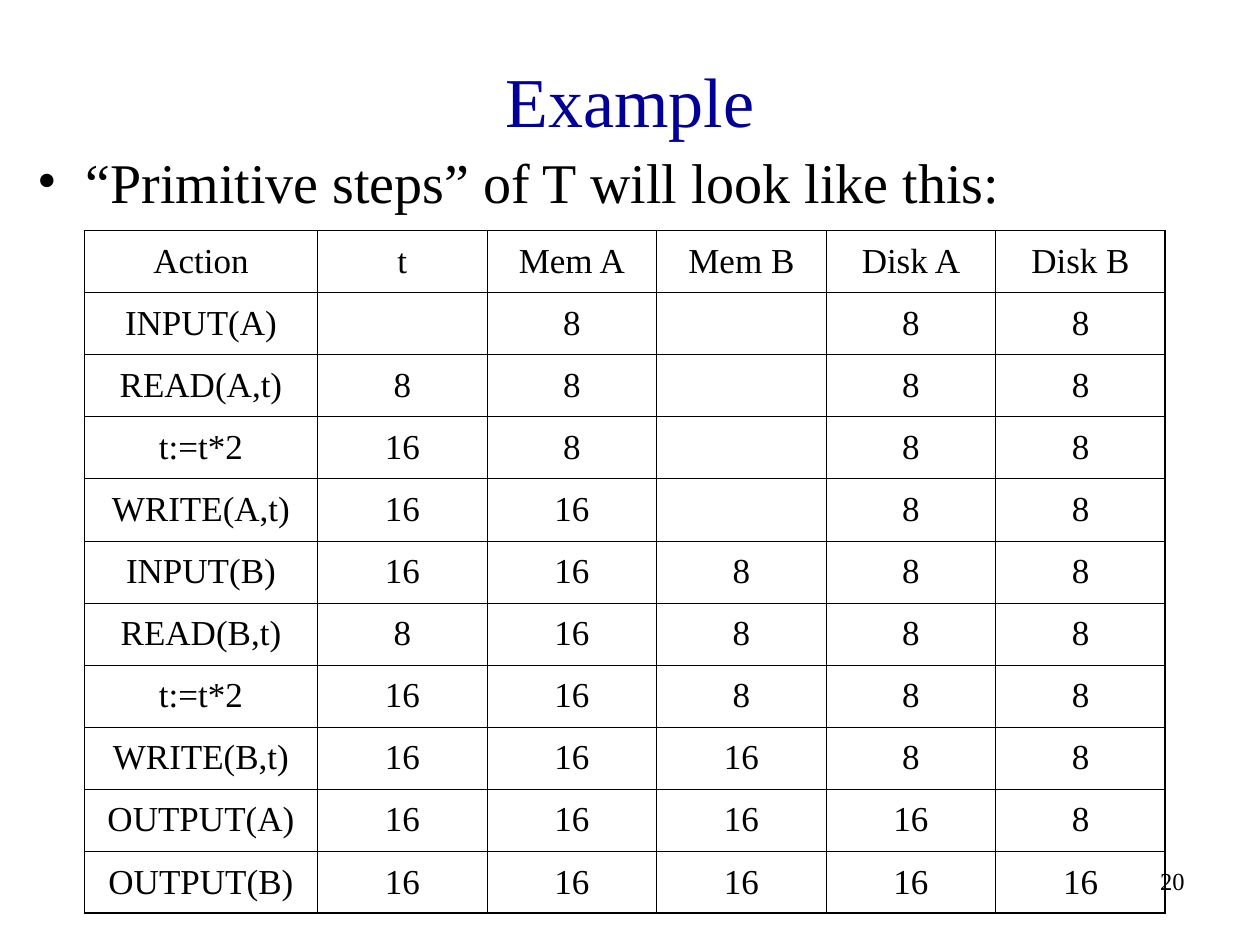
from lxml import etree
from pptx import Presentation
from pptx import util as u
from pptx.dml.color import RGBColor
from pptx.enum import text
from pptx.oxml.ns import qn

COLORS = {"title": "000099", "ink": "000000"}
FONT = "Times New Roman"
SLIDE_W, SLIDE_H = u.Inches(10), u.Inches(7.5)
MARGIN = u.Inches(0.67)
TABLE_TOP = u.Inches(1.83)
TABLE_W, TABLE_H = u.Inches(8.58), u.Inches(5.42)
ACTION_W = u.Inches(1.85)
OUTER_PT, INNER_PT = 1.08, 0.45

STEPS = [
    ("Action", "t", "Mem A", "Mem B", "Disk A", "Disk B"),
    ("INPUT(A)", "", "8", "", "8", "8"),
    ("READ(A,t)", "8", "8", "", "8", "8"),
    ("t:=t*2", "16", "8", "", "8", "8"),
    ("WRITE(A,t)", "16", "16", "", "8", "8"),
    ("INPUT(B)", "16", "16", "8", "8", "8"),
    ("READ(B,t)", "8", "16", "8", "8", "8"),
    ("t:=t*2", "16", "16", "8", "8", "8"),
    ("WRITE(B,t)", "16", "16", "16", "8", "8"),
    ("OUTPUT(A)", "16", "16", "16", "16", "8"),
    ("OUTPUT(B)", "16", "16", "16", "16", "16"),
]


def write(frame, words, size, color="ink", align=text.PP_ALIGN.LEFT, bullet=None):
    paragraph = frame.paragraphs[0]
    paragraph.text = words
    paragraph.alignment = align
    if bullet:
        props = paragraph._p.get_or_add_pPr()
        indent = u.Inches(0.38)
        props.set("marL", str(indent))
        props.set("indent", str(-indent))
        etree.SubElement(props, qn("a:buFont"), typeface=FONT)
        etree.SubElement(props, qn("a:buChar"), char=bullet)
    paragraph.font.name = FONT
    paragraph.font.size = u.Pt(size)
    paragraph.font.color.rgb = RGBColor.from_string(COLORS[color])


def place(shape, left, top, width, height):
    """Position a shape by shares of the slide's size."""
    shape.left, shape.width = int(left * SLIDE_W), int(width * SLIDE_W)
    shape.top, shape.height = int(top * SLIDE_H), int(height * SLIDE_H)


def add_text(slide, words, box, top_inset=0.05, **look):
    holder = slide.shapes.add_textbox(0, 0, 0, 0)
    place(holder, *box)
    holder.text_frame.word_wrap = True
    holder.text_frame.margin_top = u.Inches(top_inset)
    write(holder.text_frame, words, **look)


def set_borders(cell, outer_sides):
    props = cell._tc.get_or_add_tcPr()
    for side in "LRTB":
        points = OUTER_PT if side in outer_sides else INNER_PT
        line = etree.SubElement(props, qn(f"a:ln{side}"), w=str(u.Pt(points)))
        fill = etree.SubElement(line, qn("a:solidFill"))
        etree.SubElement(fill, qn("a:srgbClr"), val=COLORS["ink"])


def add_steps_table(slide):
    rows, cols = len(STEPS), len(STEPS[0])
    table = slide.shapes.add_table(
        rows, cols, MARGIN, TABLE_TOP, TABLE_W, TABLE_H).table
    table.first_row = table.horz_banding = False
    for col, column in enumerate(table.columns):
        column.width = ACTION_W if col == 0 else (TABLE_W - ACTION_W) // (cols - 1)
    for row, values in enumerate(STEPS):
        table.rows[row].height = TABLE_H // rows
        for col, value in enumerate(values):
            cell = table.cell(row, col)
            edges = {"L": col == 0, "R": col == cols - 1,
                     "T": row == 0, "B": row == rows - 1}
            set_borders(cell, [side for side, outer in edges.items() if outer])
            cell.fill.background()
            cell.vertical_anchor = text.MSO_ANCHOR.MIDDLE
            write(cell.text_frame, value, size=20, align=text.PP_ALIGN.CENTER)


def main():
    deck = Presentation()
    deck.slide_width, deck.slide_height = SLIDE_W, SLIDE_H
    slide = deck.slides.add_slide(deck.slide_layouts[5])

    title = slide.shapes.title
    place(title, 0.075, 0.02, 0.85, 0.17)
    title.text_frame.vertical_anchor = text.MSO_ANCHOR.MIDDLE
    write(title.text_frame, "Example", size=40, color="title",
          align=text.PP_ALIGN.CENTER)

    add_text(slide, "20", (0.74, 0.91, 0.21, 0.07), size=14,
             align=text.PP_ALIGN.RIGHT)
    add_steps_table(slide)
    add_text(slide, "“Primitive steps” of T will look like this:",
             (0.02, 0.14, 0.95, 0.79), top_inset=0.12, size=32, bullet="•")
    deck.save("out.pptx")


if __name__ == "__main__":
    main()
